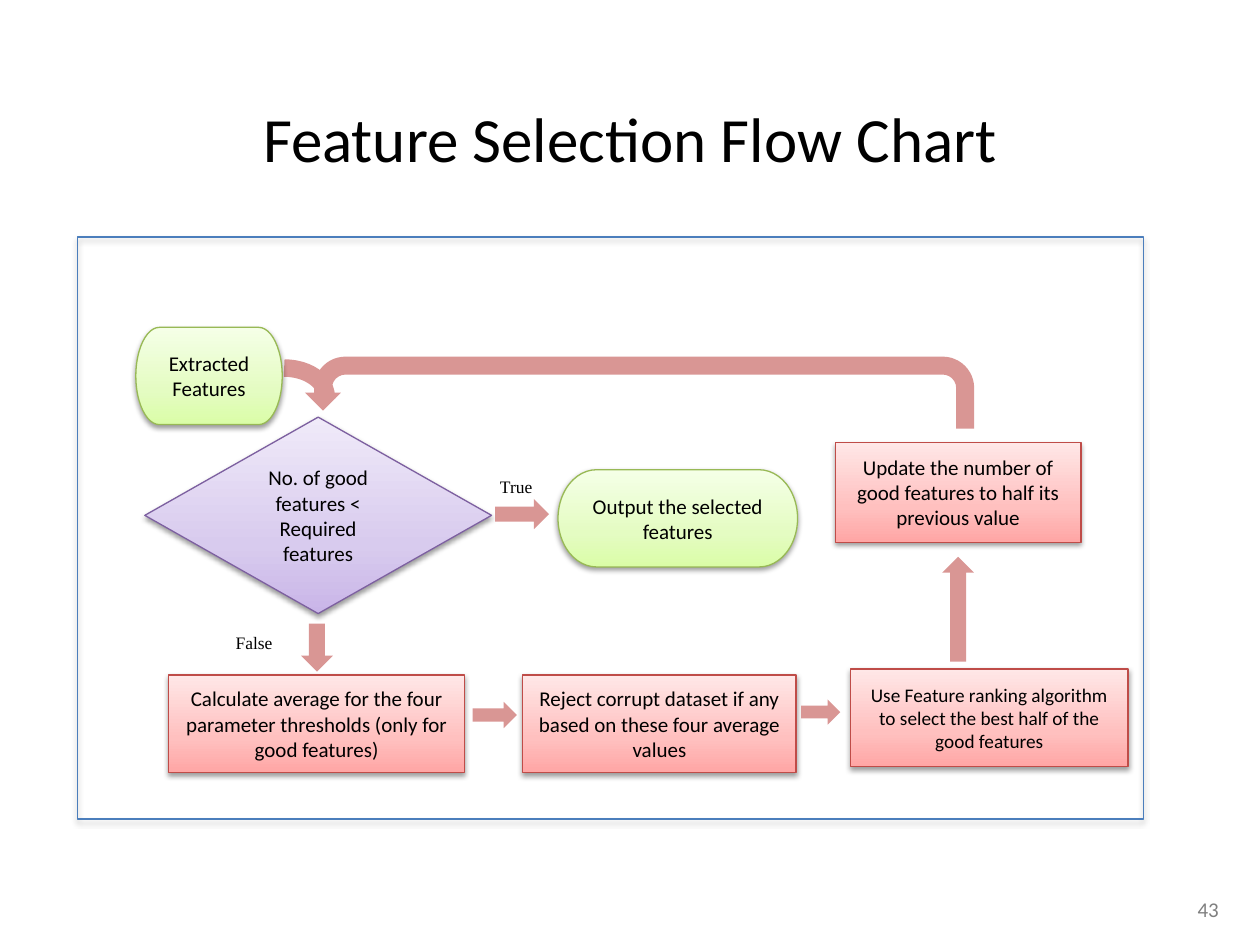
import copy

import pptx
import pptx.dml.color
import pptx.enum.shapes
import pptx.enum.text
import pptx.oxml
import pptx.oxml.ns
import pptx.util

Cm = pptx.util.Cm
Pt = pptx.util.Pt
RGBColor = pptx.dml.color.RGBColor
SHAPE = pptx.enum.shapes.MSO_SHAPE
ALIGN = pptx.enum.text.PP_ALIGN
ANCHOR = pptx.enum.text.MSO_ANCHOR
qn = pptx.oxml.ns.qn

BLACK = RGBColor(0x00, 0x00, 0x00)
WHITE = RGBColor(0xFF, 0xFF, 0xFF)
GREY = RGBColor(0x80, 0x80, 0x80)
BLUE = RGBColor(0x4B, 0x7E, 0xBC)
ROSE = RGBColor(0xD9, 0x96, 0x94)

# Outline colour, then gradient colours from bottom to top
RED_STYLE = (RGBColor(0xBF, 0x4C, 0x48), RGBColor(0xFF, 0xA6, 0xA5),
             RGBColor(0xFF, 0xC0, 0xBF), RGBColor(0xFF, 0xE7, 0xE7))
GREEN_STYLE = (RGBColor(0x98, 0xB9, 0x55), RGBColor(0xDA, 0xFD, 0xA7),
               RGBColor(0xE4, 0xFC, 0xC2), RGBColor(0xF5, 0xFF, 0xE7))
PURPLE_STYLE = (RGBColor(0x7D, 0x60, 0xA0), RGBColor(0xC9, 0xB5, 0xE8),
                RGBColor(0xD8, 0xCB, 0xEE), RGBColor(0xF0, 0xEA, 0xF9))
STOP_POSITIONS = (0, 0.35, 1)


class FlowChart:
    body_font = "Calibri"
    label_font = "Times New Roman"

    def __init__(self, page):
        self.page = page

    def set_text(self, shape, text, size, font=body_font, color=BLACK,
                 align=ALIGN.CENTER, anchor=ANCHOR.MIDDLE):
        frame = shape.text_frame
        frame.text = text
        frame.word_wrap = True
        frame.vertical_anchor = anchor
        para = frame.paragraphs[0]
        para.alignment = align
        for span in para.runs:
            span.font.size = Pt(size)
            span.font.name = font
            span.font.color.rgb = color

    def title(self, text, left, top, width, height):
        box = self.page.shapes.title
        box.left, box.top, box.width, box.height = map(Cm, (left, top, width, height))
        self.set_text(box, text, 36, anchor=ANCHOR.TOP)

    def text_box(self, text, bounds, size, **style):
        box = self.page.shapes.add_textbox(*map(Cm, bounds))
        self.set_text(box, text, size, **style)

    def label(self, text, *bounds):
        self.text_box(text, bounds, 10, font=self.label_font,
                      align=ALIGN.LEFT, anchor=ANCHOR.TOP)

    def shape(self, kind, bounds):
        shape = self.page.shapes.add_shape(kind, *map(Cm, bounds))
        shape.shadow.inherit = False
        return shape

    def outline(self, shape, color, width=0.75):
        shape.line.color.rgb = color
        shape.line.width = Pt(width)

    def drop_shadow(self, shape, distance, opacity):
        effects = shape._element.spPr.find(qn("a:effectLst"))
        effects.append(pptx.oxml.parse_xml(
            '<a:outerShdw xmlns:a="http://schemas.openxmlformats.org/drawingml/2006/main"'
            f' blurRad="{Pt(3.1)}" dist="{Pt(distance)}" dir="5400000" rotWithShape="0">'
            f'<a:srgbClr val="000000"><a:alpha val="{opacity * 1000}"/></a:srgbClr>'
            '</a:outerShdw>'))

    def frame(self, *bounds):
        frame = self.shape(SHAPE.RECTANGLE, bounds)
        frame.fill.background()
        self.outline(frame, BLUE)
        self.drop_shadow(frame, 1.8, 35)

    def node(self, kind, text, style, *bounds, size=12):
        node = self.shape(kind, bounds)
        line_color, *colors = style
        node.fill.gradient()
        node.fill.gradient_angle = 90
        stop_list = node._element.spPr.find(".//" + qn("a:gsLst"))
        stop_list.insert(1, copy.deepcopy(stop_list[0]))
        for stop, position, color in zip(node.fill.gradient_stops, STOP_POSITIONS, colors):
            stop.position = position
            stop.color.rgb = color
        self.outline(node, line_color)
        self.drop_shadow(node, 1.6, 38)
        self.set_text(node, text, size)

    def arrow(self, kind, *bounds, rotation=0, flip=False):
        arrow = self.shape(kind, bounds)
        arrow.fill.solid()
        arrow.fill.fore_color.rgb = ROSE
        arrow.line.fill.background()
        arrow.rotation = rotation
        if flip:
            arrow._element.spPr.find(qn("a:xfrm")).set("flipH", "1")

    def arc(self, *bounds):
        arc = self.shape(SHAPE.ARC, bounds)
        arc.adjustments[0] = 162
        arc.adjustments[1] = 1.388
        arc.fill.solid()
        arc.fill.fore_color.rgb = WHITE
        self.outline(arc, ROSE, 10)


def main():
    deck = pptx.Presentation()
    deck.slide_width, deck.slide_height = Cm(25.4), Cm(19.05)
    chart = FlowChart(deck.slides.add_slide(deck.slide_layouts[5]))

    # Title, frame and page number
    chart.title("Feature Selection Flow Chart", 1.27, 1.88, 22.86, 2.34)
    chart.frame(1.57, 4.78, 21.49, 11.73)
    chart.text_box("43", (23.09, 17.81, 1.73, 1.02), 12, color=GREY, align=ALIGN.RIGHT)

    # Entry and loop back into the decision
    chart.arc(4.88, 7.42, 1.7, 1.17)
    chart.arrow(SHAPE.U_TURN_ARROW, 6.15, 7.19, 13.49, 1.45, flip=True)
    chart.node(SHAPE.FLOWCHART_DECISION, "No. of good features < Required features",
               PURPLE_STYLE, 2.92, 8.41, 6.99, 3.96)

    # Process steps
    step = SHAPE.FLOWCHART_PROCESS
    chart.node(step, "Calculate average for the four parameter thresholds (only for good features)",
               RED_STYLE, 3.4, 13.61, 5.97, 1.96)
    chart.node(step, "Reject corrupt dataset if any based on these four average values",
               RED_STYLE, 10.54, 13.61, 5.51, 1.96)
    chart.node(step, "Use Feature ranking algorithm to select the best half of the good features",
               RED_STYLE, 17.15, 13.49, 5.59, 1.96, size=11)
    chart.node(step, "Update the number of good features to half its previous value",
               RED_STYLE, 16.84, 8.92, 4.95, 2.01)

    # Start and end
    chart.node(SHAPE.FLOWCHART_TERMINATOR, "Output the selected features",
               GREEN_STYLE, 11.25, 9.47, 4.83, 1.96)
    chart.node(SHAPE.FLOWCHART_TERMINATOR, "Extracted Features",
               GREEN_STYLE, 2.74, 6.6, 2.95, 1.96)

    # Arrows between the steps
    chart.arrow(SHAPE.DOWN_ARROW, 6.07, 12.57, 0.64, 0.97)
    chart.arrow(SHAPE.RIGHT_ARROW, 9.98, 10.06, 1.09, 0.61)
    chart.arrow(SHAPE.RIGHT_ARROW, 9.53, 14.15, 0.89, 0.53)
    chart.arrow(SHAPE.RIGHT_ARROW, 16.15, 14.1, 0.79, 0.51)
    chart.arrow(SHAPE.RIGHT_ARROW, 18.26, 11.96, 2.11, 0.64, rotation=270)

    # Branch labels
    chart.label("True", 9.83, 9.47, 1.35, 0.69)
    chart.label("False", 4.5, 12.62, 1.42, 0.69)

    deck.save("out.pptx")


if __name__ == "__main__":
    main()
